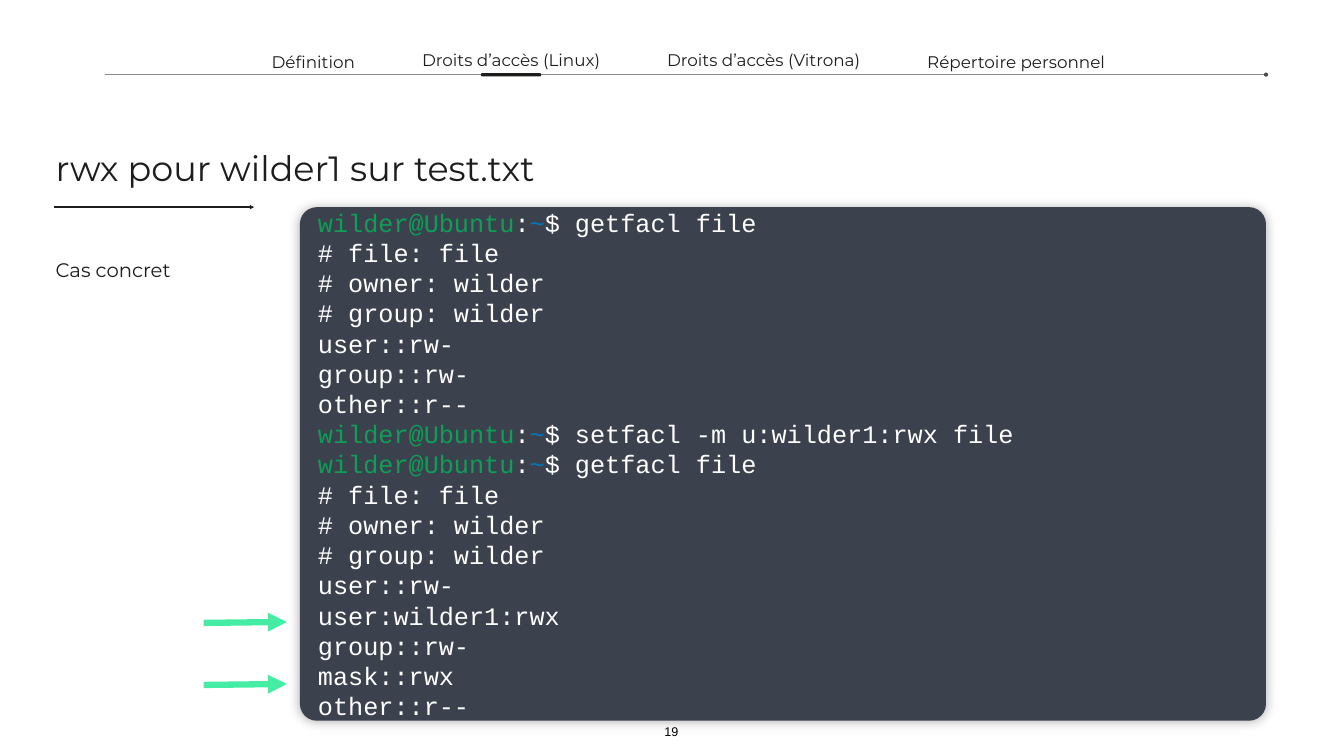
"""Build the slide that shows an ACL granting rwx to wilder1."""
from dataclasses import dataclass
from typing import NamedTuple

from lxml.etree import SubElement
from pptx import Presentation
from pptx.dml.color import RGBColor
from pptx.enum.shapes import MSO_CONNECTOR, MSO_SHAPE
from pptx.enum.text import MSO_ANCHOR, MSO_AUTO_SIZE, PP_ALIGN
from pptx.oxml.ns import qn
from pptx.util import Pt


@dataclass(frozen=True)
class Theme:
    ink: str = "1D1D1B"
    black: str = "000000"
    white: str = "FFFFFF"
    panel: str = "3B424E"
    user: str = "0F9D58"
    folder: str = "0277BD"
    highlight: str = "45ECA4"
    heading_font: str = "Montserrat"
    code_font: str = "Courier New"
    number_font: str = "Arial"
    title_size: float = 50
    subtitle_size: float = 28
    nav_size: float = 24
    code_size: float = 36
    number_size: float = 18


class Box(NamedTuple):
    left: float
    top: float
    width: float
    height: float


class Run(NamedTuple):
    text: str
    color: str


class Tab(NamedTuple):
    label: str
    box: Box


class Arrow(NamedTuple):
    start: tuple[float, float]
    end: tuple[float, float]
    color: str
    width: float
    head: str = "triangle"
    opacity: int = 100


THEME = Theme()
Line = list[Run]

TABS = [
    Tab("Définition", Box(360.7, 69.1, 173.5, 37.4)),
    Tab("Droits d’accès (Linux)", Box(574.6, 67, 311, 37.4)),
    Tab("Droits d’accès (Vitrona)", Box(925.9, 67, 329.8, 37.4)),
    Tab("Répertoire personnel", Box(1296, 69.1, 311, 37.4)),
]
ARROWS = [
    Arrow((77.8, 295.9), (362.9, 295.9), THEME.ink, 2),
    Arrow((149.8, 106.6), (1808.6, 106.6), THEME.black, 1, "oval", 70),
]
HIGHLIGHTS = [
    Arrow((290.9, y), (409.7, y - 1.4), THEME.highlight, 9) for y in (889.9, 978.5)
]


def prompt(command: str) -> Line:
    """Return a shell line with its coloured prompt."""
    return [
        Run("wilder@Ubuntu", THEME.user),
        Run(":", THEME.white),
        Run("~", THEME.folder),
        Run(f"$ {command}", THEME.white),
    ]


def listing(*entries: str) -> list[Line]:
    """Return a getfacl call and its output."""
    header = ("# file: file", "# owner: wilder", "# group: wilder")
    return [prompt("getfacl file")] + [
        [Run(text, THEME.white)] for text in header + entries
    ]


def write(frame, lines: list[Line], *, font: str, size: float,
          align=PP_ALIGN.LEFT, anchor=MSO_ANCHOR.MIDDLE,
          insets: tuple[float, float, float, float] = (4.5, 4.5, 4.5, 4.5)) -> None:
    """Fill a text frame with formatted lines."""
    frame.word_wrap = True
    frame.vertical_anchor = anchor
    (frame.margin_left, frame.margin_top,
     frame.margin_right, frame.margin_bottom) = map(Pt, insets)
    for index, line in enumerate(lines):
        paragraph = frame.paragraphs[0] if index == 0 else frame.add_paragraph()
        paragraph.alignment = align
        for part in line:
            run = paragraph.add_run()
            run.text = part.text
            run.font.name = font
            run.font.size = Pt(size)
            run.font.color.rgb = RGBColor.from_string(part.color)


def add_label(slide, box: Box, text: str, *, color: str = THEME.ink,
              font: str = THEME.heading_font, **style) -> None:
    """Add a one-line text box."""
    label = slide.shapes.add_textbox(*map(Pt, box))
    write(label.text_frame, [[Run(text, color)]], font=font, **style)
    label.text_frame.auto_size = MSO_AUTO_SIZE.SHAPE_TO_FIT_TEXT


def add_arrow(slide, arrow: Arrow) -> None:
    """Add a straight line with a head at its end."""
    connector = slide.shapes.add_connector(
        MSO_CONNECTOR.STRAIGHT, *map(Pt, arrow.start + arrow.end))
    connector.line.width = Pt(arrow.width)
    connector.line.color.rgb = RGBColor.from_string(arrow.color)
    properties = connector._element.spPr
    outline = properties.find(qn("a:ln"))
    if arrow.opacity < 100:
        tint = outline.find(".//" + qn("a:srgbClr"))
        SubElement(tint, qn("a:alpha"), val=str(arrow.opacity * 1000))
    SubElement(outline, qn("a:tailEnd"), type=arrow.head)
    SubElement(properties, qn("a:effectLst"))


def add_panel(slide, box: Box, color: str, rounding: float):
    """Add a plain filled rounded rectangle."""
    panel = slide.shapes.add_shape(MSO_SHAPE.ROUNDED_RECTANGLE, *map(Pt, box))
    panel.adjustments[0] = rounding
    panel.shadow.inherit = False
    panel.fill.solid()
    panel.fill.fore_color.rgb = RGBColor.from_string(color)
    panel.line.fill.background()
    return panel


def cast_shadow(shape, color: str, opacity: int, blur: float, distance: float) -> None:
    """Give a shape a soft shadow below it."""
    effects = shape._element.spPr.find(qn("a:effectLst"))
    shadow = SubElement(effects, qn("a:outerShdw"), blurRad=str(Pt(blur)),
                        dist=str(Pt(distance)), dir="5400000", algn="t",
                        rotWithShape="0")
    tint = SubElement(shadow, qn("a:srgbClr"), val=color)
    SubElement(tint, qn("a:alpha"), val=str(opacity * 1000))


def main() -> None:
    """Draw the slide and save it."""
    deck = Presentation()
    deck.slide_width, deck.slide_height = Pt(1920), Pt(1080)
    slide = deck.slides.add_slide(deck.slide_layouts[6])

    for arrow in ARROWS:
        add_arrow(slide, arrow)
    add_label(slide, Box(74.9, 205.2, 1052.6, 68.4), "rwx pour wilder1 sur test.txt",
              size=THEME.title_size)
    add_label(slide, Box(74.9, 365, 311, 41.8), "Cas concret", size=THEME.subtitle_size)
    add_label(slide, Box(943, 1030.3, 32, 30.2), "19", color=THEME.black,
              font=THEME.number_font, size=THEME.number_size,
              align=PP_ALIGN.CENTER, anchor=MSO_ANCHOR.BOTTOM)
    for tab in TABS:
        add_label(slide, tab.box, tab.label, size=THEME.nav_size, align=PP_ALIGN.CENTER)
    add_panel(slide, Box(686.9, 104.4, 86.4, 4.8), THEME.ink, 0.5)

    terminal = add_panel(slide, Box(428.4, 295.9, 1380.2, 733.7), THEME.panel, 0.033)
    cast_shadow(terminal, THEME.black, opacity=30, blur=15.8, distance=1.5)
    session = [
        *listing("user::rw-", "group::rw-", "other::r--"),
        prompt("setfacl -m u:wilder1:rwx file"),
        *listing("user::rw-", "user:wilder1:rwx", "group::rw-", "mask::rwx", "other::r--"),
    ]
    write(terminal.text_frame, session, font=THEME.code_font, size=THEME.code_size,
          insets=(18.7, 7.2, 7.2, 7.2))
    for arrow in HIGHLIGHTS:
        add_arrow(slide, arrow)

    deck.save("out.pptx")


if __name__ == "__main__":
    main()
